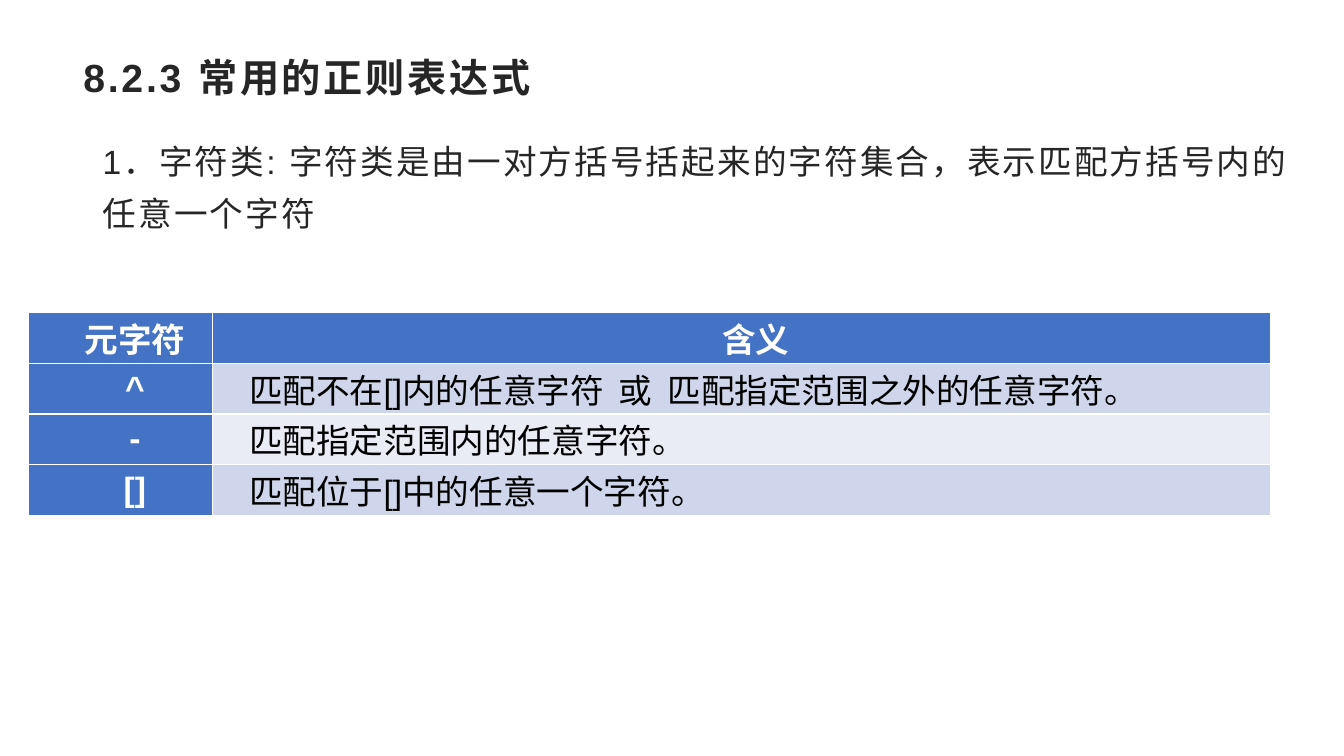
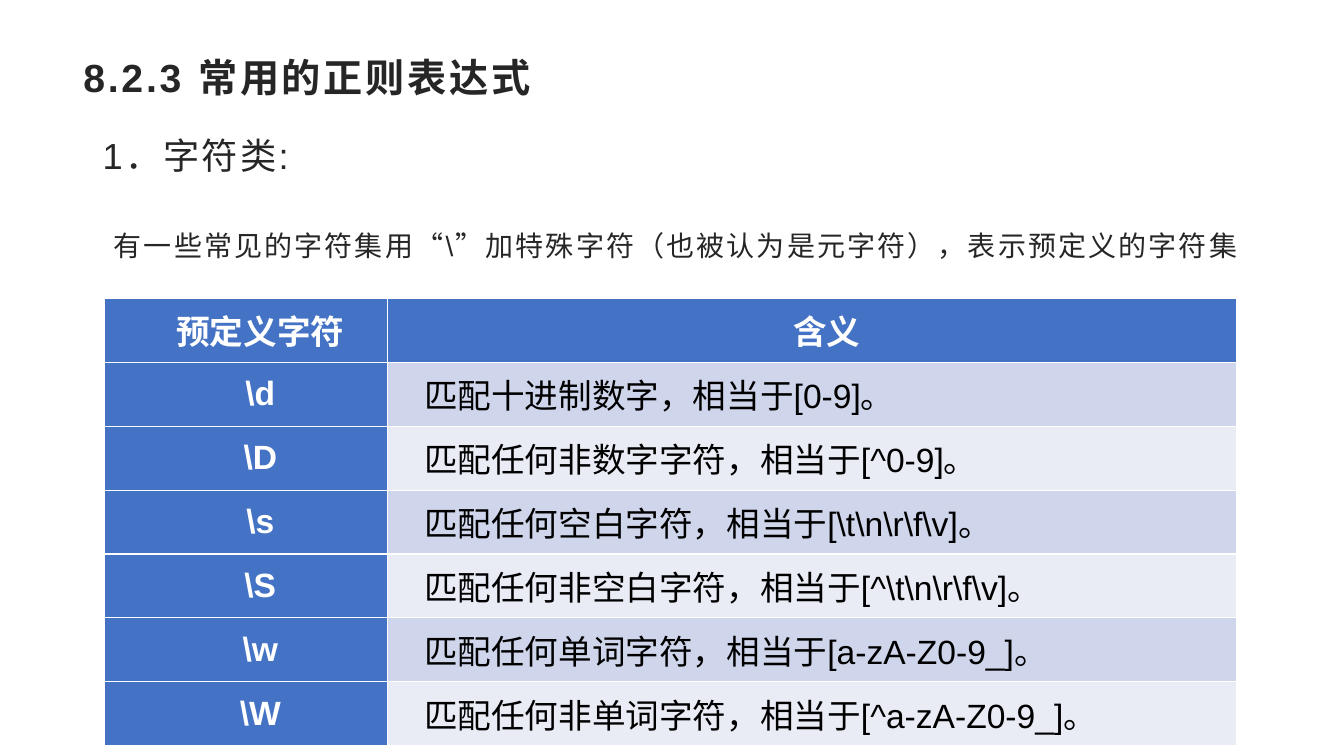
from pptx import Presentation
from pptx.dml.color import RGBColor
from pptx.enum.lang import MSO_LANGUAGE_ID
from pptx.enum.text import MSO_ANCHOR, PP_ALIGN
from pptx.util import Cm, Pt

CENTER, LEFT = PP_ALIGN.CENTER, PP_ALIGN.LEFT
MIDDLE = MSO_ANCHOR.MIDDLE
CHINESE = MSO_LANGUAGE_ID.SIMPLIFIED_CHINESE

FONT = "Arial"
COLORS = {
    "text": "262626",
    "cell_text": "000000",
    "header": "4472C4",
    "header_text": "FFFFFF",
    "band_dark": "CFD5EA",
    "band_light": "E9EBF5",
}

# Content: boxes are (left, top, width, height) in centimetres
TITLE = "8.2.3 常用的正则表达式"
TITLE_BOX = (1.85, 1.22, 30.15, 1.98)

SLIDES = [
    {
        "texts": [
            {"text": "1．字符类: 字符类是由一对方括号括起来的字符集合，表示匹配方括号内的任意一个字符",
             "box": (2.34, 3.12, 31.24, 1.98), "size": 24, "line_spacing": 1.3},
        ],
        "table": {
            "origin": (0.71, 7.87), "columns": (4.64, 26.66), "row_height": 1.28,
            "rows": [
                ("元字符", "含义"),
                ("^", "匹配不在[]内的任意字符  或  匹配指定范围之外的任意字符。"),
                ("-", "匹配指定范围内的任意字符。"),
                ("[]", "匹配位于[]中的任意一个字符。"),
            ],
        },
    },
    {
        "texts": [
            {"text": "1．字符类:",
             "box": (2.34, 3.12, 28, 1.5), "size": 25.9, "line_spacing": 1.1},
            {"text": "有一些常见的字符集用“\\”加特殊字符（也被认为是元字符），表示预定义的字符集",
             "box": (2.62, 5.38, 29.4, 2.13), "size": 20, "line_spacing": 1.3},
        ],
        "table": {
            "origin": (2.62, 7.52), "columns": (7.14, 21.41), "row_height": 1.61,
            "rows": [
                ("预定义字符", "含义"),
                ("\\d", "匹配十进制数字，相当于[0-9]。"),
                ("\\D", "匹配任何非数字字符，相当于[^0-9]。"),
                ("\\s", "匹配任何空白字符，相当于[\\t\\n\\r\\f\\v]。"),
                ("\\S", "匹配任何非空白字符，相当于[^\\t\\n\\r\\f\\v]。"),
                ("\\w", "匹配任何单词字符，相当于[a-zA-Z0-9_]。"),
                ("\\W", "匹配任何非单词字符，相当于[^a-zA-Z0-9_]。"),
            ],
        },
    },
]


def style_font(paragraph, size, color, bold=False):
    font = paragraph.font
    font.name, font.size, font.bold = FONT, Pt(size), bold
    font.color.rgb = RGBColor.from_string(COLORS[color])
    font.language_id = CHINESE


def add_text(slide, text, box, size, letter_spacing=1.5, bold=False,
             line_spacing=None, space_after=10):
    frame = slide.shapes.add_textbox(*map(Cm, box)).text_frame
    frame.word_wrap = True
    paragraph = frame.paragraphs[0]
    paragraph.text = text
    paragraph.line_spacing = line_spacing
    paragraph.space_after = Pt(space_after)
    style_font(paragraph, size, "text", bold)
    run_defaults = paragraph._p.get_or_add_pPr().get_or_add_defRPr()
    run_defaults.set("spc", str(int(letter_spacing * 100)))


def fill_cell(cell, text, row, column):
    is_header = row == 0 or column == 0
    band = "band_dark" if row % 2 else "band_light"
    cell.fill.solid()
    cell.fill.fore_color.rgb = RGBColor.from_string(COLORS["header" if is_header else band])
    cell.vertical_anchor = MIDDLE
    cell.margin_left = cell.margin_right = Cm(0.19)
    cell.margin_top = cell.margin_bottom = 0
    paragraph = cell.text_frame.paragraphs[0]
    paragraph.text = text
    paragraph.alignment = CENTER if is_header else LEFT
    # First-line indent
    paragraph._p.get_or_add_pPr().set("indent", str(Cm(0.74)))
    style_font(paragraph, 24, "header_text" if is_header else "cell_text", is_header)


def add_meaning_table(slide, origin, columns, row_height, rows):
    size = (sum(columns), row_height * len(rows))
    table = slide.shapes.add_table(len(rows), len(columns), *map(Cm, origin + size)).table
    table.first_col = True
    for column, width in zip(table.columns, columns):
        column.width = Cm(width)
    for r, texts in enumerate(rows):
        table.rows[r].height = Cm(row_height)
        for c, text in enumerate(texts):
            fill_cell(table.cell(r, c), text, r, c)


def main():
    deck = Presentation()
    deck.slide_width, deck.slide_height = Cm(33.87), Cm(19.05)
    blank = deck.slide_layouts[6]
    for content in SLIDES:
        slide = deck.slides.add_slide(blank)
        add_text(slide, TITLE, TITLE_BOX, 28, letter_spacing=2, bold=True, space_after=0)
        for text in content["texts"]:
            add_text(slide, **text)
        add_meaning_table(slide, **content["table"])
    deck.save("out.pptx")


if __name__ == "__main__":
    main()
